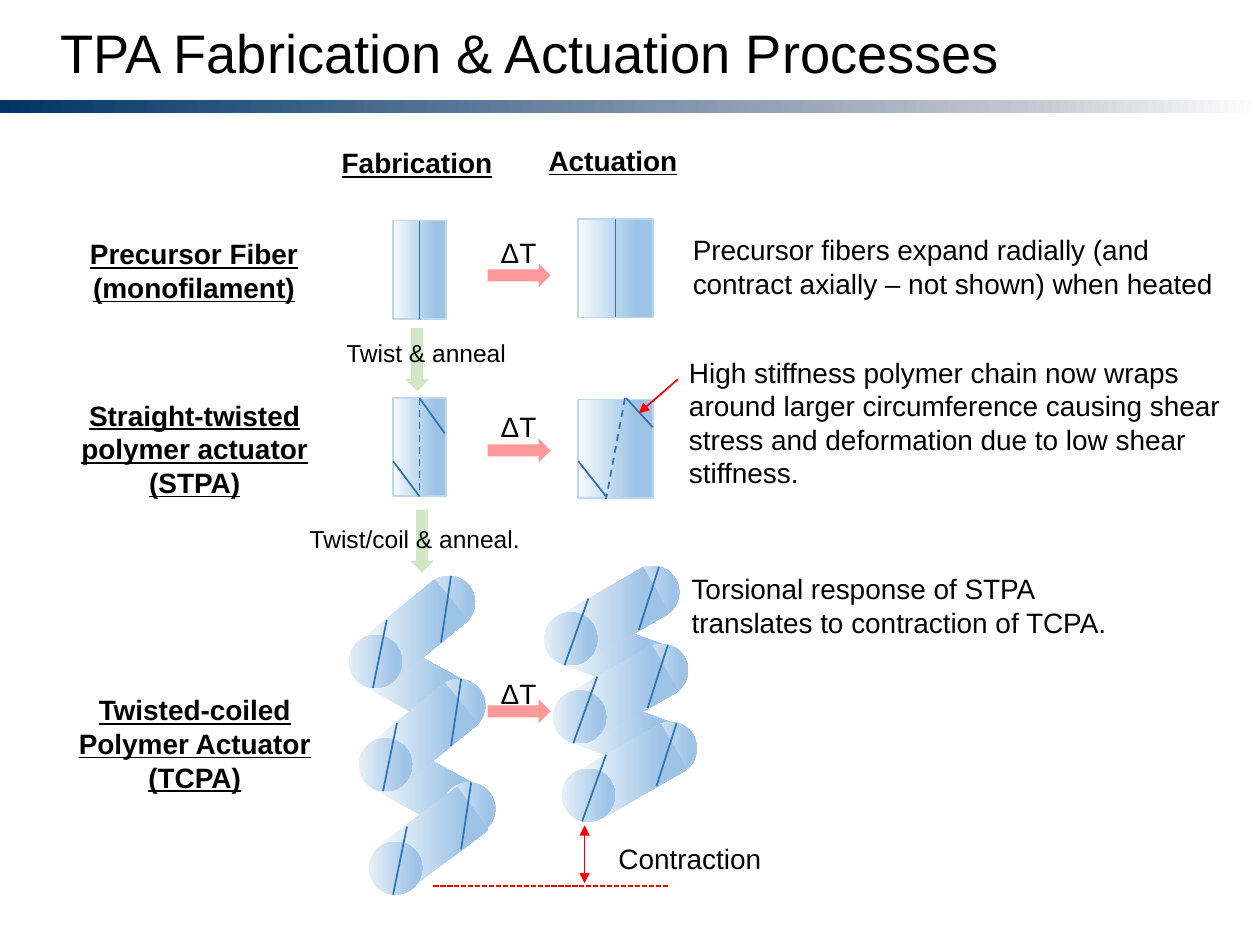
"""Build the slide on TPA fabrication and actuation processes."""
from copy import deepcopy

from pptx import Presentation
from pptx.dml.color import RGBColor
from pptx.enum.dml import MSO_LINE
from pptx.enum.shapes import MSO_CONNECTOR, MSO_SHAPE
from pptx.enum.text import MSO_ANCHOR, MSO_AUTO_SIZE, PP_ALIGN
from pptx.oxml.ns import qn
from pptx.oxml.xmlchemy import OxmlElement
from pptx.util import Pt

PX = 9144
RECT, OVAL, ARROW = MSO_SHAPE.RECTANGLE, MSO_SHAPE.OVAL, MSO_SHAPE.RIGHT_ARROW
STRAIGHT = MSO_CONNECTOR.STRAIGHT
DASH, SHORT_DASH = MSO_LINE.DASH, MSO_LINE.SQUARE_DOT
LEFT, CENTER = PP_ALIGN.LEFT, PP_ALIGN.CENTER
MIDDLE, TOP = MSO_ANCHOR.MIDDLE, MSO_ANCHOR.TOP
GROW, FIXED = MSO_AUTO_SIZE.SHAPE_TO_FIT_TEXT, MSO_AUTO_SIZE.NONE

BLACK = RGBColor(0x00, 0x00, 0x00)
WHITE = RGBColor(0xFF, 0xFF, 0xFF)
RED = RGBColor(0xFF, 0x00, 0x00)
GREEN = RGBColor(0xA9, 0xD1, 0x8E)
NAVY = RGBColor(0x00, 0x34, 0x66)
SILVER = RGBColor(0xC3, 0xC6, 0xD0)
PALE = RGBColor(0xF7, 0xFA, 0xFD)
SKY = RGBColor(0x9D, 0xC3, 0xE6)
EDGE = RGBColor(0xBD, 0xD7, 0xEE)
CHAIN = RGBColor(0x2E, 0x75, 0xB6)

BAR = ((0, NAVY), (0.81, SILVER), (1, WHITE))
FIBER = ((0, PALE), (0.78, SKY), (1, SKY))

prs = Presentation()
prs.slide_width, prs.slide_height = 1000 * PX, 750 * PX
s = prs.slides.add_slide(prs.slide_layouts[6])


def add_shape(kind, x, y, w, h, fill, rot=0, edge=None, alpha=None):
    sp = s.shapes.add_shape(kind, x * PX, y * PX, w * PX, h * PX)
    sp.shadow.inherit = False
    sp.rotation = rot
    if edge is None:
        sp.line.fill.background()
    else:
        sp.line.color.rgb = edge
        sp.line.width = Pt(1)
    if isinstance(fill, RGBColor):
        sp.fill.solid()
        sp.fill.fore_color.rgb = fill
        opacity = OxmlElement("a:alpha")
        opacity.set("val", str(alpha * 1000))
        sp.element.spPr.find(qn("a:solidFill"))[0].append(opacity)
    else:
        sp.fill.gradient()
        sp.fill.gradient_angle = 0
        grad = sp.element.spPr.find(qn("a:gradFill"))
        grad.set("rotWithShape", "0")
        stops = grad.find(qn("a:gsLst"))
        stops.append(deepcopy(stops[-1]))
        for stop, (position, color) in zip(sp.fill.gradient_stops, fill):
            stop.position = position
            stop.color.rgb = color
    return sp


def add_line(x1, y1, x2, y2, color=CHAIN, dash=None, ends=()):
    c = s.shapes.add_connector(STRAIGHT, x1 * PX, y1 * PX, x2 * PX, y2 * PX)
    c.line.color.rgb = color
    c.line.width = Pt(1)
    if dash is not None:
        c.line.dash_style = dash
    for end in ends:
        head = OxmlElement(end)
        head.set("type", "triangle")
        c.line._get_or_add_ln().append(head)
    c.element.spPr.append(OxmlElement("a:effectLst"))
    return c


add_shape(RECT, 0, 79, 1000, 11, BAR)

for x, y in ((306, 276), (310, 420)):
    add_shape(ARROW, x, y, 50, 19, GREEN, rot=90, alpha=50)
for y in (209, 348, 555):
    add_shape(ARROW, 387, y, 50, 19, RED, alpha=40)

for x, y, w, dash in ((312, 175, 42, None), (459, 174, 59, None), (312, 316, 42, DASH)):
    fiber = add_shape(RECT, x, y, w, 78, FIBER, edge=EDGE)
    chain = add_line(x + w // 2, y, x + w // 2, y + 78, dash=dash)
    chain.begin_connect(fiber, 0)
    chain.end_connect(fiber, 2)

add_shape(RECT, 459, 317, 59, 78, FIBER, edge=EDGE)
add_line(496, 316, 481, 396, dash=DASH)
for ends in ((312, 366, 333, 394), (333, 316, 353, 344),
             (459, 366, 481, 394), (497, 316, 518, 339)):
    add_line(*ends)

COILS = (
    ((8, 82), (50.7, 50.7, 53.4), 298.8, (309, 504), (335, 457), (307, 462), (277, 504),
     (358, 457, 350, 510), (307, 492, 296, 546)),
    ((7, 62), (60, 60, 60), 290, (467, 481), (497, 449), (466, 449), (432, 486),
     (523, 450, 507, 500), (467, 475, 448, 528)),
)
for (dx, dy), rots, back_rot, back, far, tube, near, far_chain, near_chain in COILS:
    for i in range(2):
        add_shape(RECT, back[0] + i * dx, back[1] + i * dy, 42, 78, FIBER, back_rot)
    for i in (2, 1, 0):
        x, y = i * dx, i * dy
        add_shape(OVAL, far[0] + x, far[1] + y, 42, 42, FIBER, rots[i])
        add_shape(RECT, tube[0] + x, tube[1] + y, 42, 78, FIBER, rots[i])
        add_shape(OVAL, near[0] + x, near[1] + y, 42, 42, FIBER, rots[i])
        for x1, y1, x2, y2 in (far_chain, near_chain):
            add_line(x1 + x, y1 + y, x2 + x, y2 + y)

add_line(530, 703, 344, 703, RED, SHORT_DASH)
add_line(464, 701, 464, 655, RED, ends=("a:headEnd", "a:tailEnd"))
add_line(538, 301, 507, 328, RED, ends=("a:tailEnd",))

TEXTS = (
    (38, 15, 893, 59, "TPA Fabrication & Actuation Processes", 31, LEFT, False),
    (256, 111, 150, 37, "Fabrication", 16, CENTER, True),
    (371, 109, 231, 37, "Actuation", 16, CENTER, True),
    (51, 183, 206, 64, "Precursor Fiber\n(monofilament)", 16, CENTER, True),
    (38, 311, 233, 91, "Straight-twisted polymer actuator (STPA)", 16, CENTER, True),
    (39, 545, 231, 91, "Twisted-coiled Polymer Actuator (TCPA)", 16, CENTER, True),
    (265, 263, 273, 34, "Twist & anneal", 14, LEFT, False),
    (236, 411, 276, 34, "Twist/coil & anneal.", 14, LEFT, False),
    (371, 182, 81, 37, "ΔT", 16, CENTER, False),
    (371, 320, 81, 37, "ΔT", 16, CENTER, False),
    (371, 532, 81, 37, "ΔT", 16, CENTER, False),
    (469, 663, 157, 37, "Contraction", 16, CENTER, False),
    (540, 180, 440, 64, "Precursor fibers expand radially (and contract axially – "
     "not shown) when heated", 16, LEFT, False),
    (537, 277, 456, 118, "High stiffness polymer chain now wraps around larger "
     "circumference causing shear stress and deformation due to low shear stiffness.",
     16, LEFT, False),
    (539, 449, 369, 64, "Torsional response of STPA translates to contraction of TCPA.",
     16, LEFT, False),
)
for x, y, w, h, text, size, align, heading in TEXTS:
    title = size == 31
    tf = s.shapes.add_textbox(x * PX, y * PX, w * PX, h * PX).text_frame
    tf.word_wrap = True
    tf.auto_size = FIXED if title else GROW
    tf.vertical_anchor = MIDDLE if title else TOP
    tf.text = text
    for p in tf.paragraphs:
        p.alignment = align
        p.line_spacing = 0.9 if title else 1.0
        p.font.name = "Arial"
        p.font.size = Pt(size)
        p.font.color.rgb = BLACK
        p.font.bold = heading
        p.font.underline = heading

prs.save("out.pptx")
